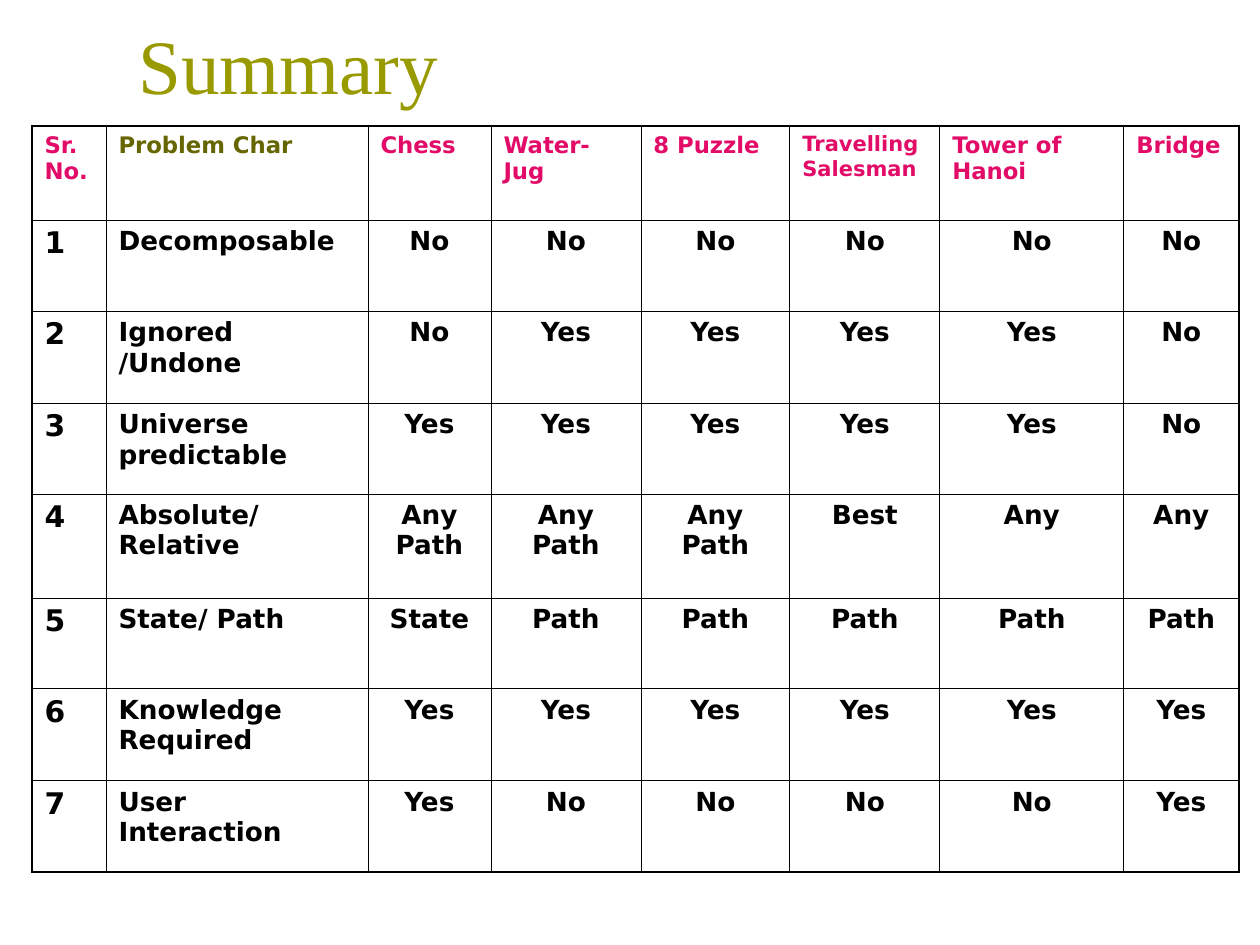
from lxml import etree
from pptx import Presentation
from pptx.dml.color import RGBColor
from pptx.enum.text import MSO_ANCHOR, PP_ALIGN
from pptx.oxml.ns import qn
from pptx.util import Emu, Pt

LEFT, CENTER = PP_ALIGN.LEFT, PP_ALIGN.CENTER
BOTTOM = MSO_ANCHOR.BOTTOM
OLIVE = RGBColor(0x99, 0x99, 0x00)
DARK_OLIVE = RGBColor(0x66, 0x66, 0x00)
PINK = RGBColor(0xE2, 0x0C, 0x68)
BLACK = RGBColor(0, 0, 0)
THIN, THICK = Pt(0.45), Pt(1.08)


def px(length):
    return Emu(round(length * 914400 / 126))


def add_border(cell, position, side, width):
    line = etree.Element(qn(f"a:{side}"), w=str(int(width)))
    fill = etree.SubElement(line, qn("a:solidFill"))
    etree.SubElement(fill, qn("a:srgbClr"), val=str(BLACK))
    cell._tc.get_or_add_tcPr().insert(position, line)


prs = Presentation()
prs.slide_width, prs.slide_height = px(1260), px(945)
slide = prs.slides.add_slide(prs.slide_layouts[6])

# Title
heading = slide.shapes.add_textbox(px(126), px(-41), px(1008), px(157)).text_frame
heading.word_wrap = True
heading.vertical_anchor = BOTTOM
heading.text = "Summary"
heading_format = {"name": "Times New Roman", "size": Pt(44)}
for attribute, value in heading_format.items():
    setattr(heading.paragraphs[0].runs[0].font, attribute, value)
heading.paragraphs[0].runs[0].font.color.rgb = OLIVE

# Problem characteristics by problem
rows = [
    ["Sr.\vNo.", "Problem Char", "Chess", "Water-Jug", "8 Puzzle",
     "Travelling Salesman", "Tower of Hanoi", "Bridge"],
    ["1", "Decomposable", "No", "No", "No", "No", "No", "No"],
    ["2", "Ignored /Undone", "No", "Yes", "Yes", "Yes", "Yes", "No"],
    ["3", "Universe predictable", "Yes", "Yes", "Yes", "Yes", "Yes", "No"],
    ["4", "Absolute/\vRelative", "Any Path", "Any Path", "Any Path", "Best", "Any", "Any"],
    ["5", "State/ Path", "State", "Path", "Path", "Path", "Path", "Path"],
    ["6", "Knowledge Required", "Yes", "Yes", "Yes", "Yes", "Yes", "Yes"],
    ["7", "User Interaction", "Yes", "No", "No", "No", "No", "Yes"],
]
column_widths = [74, 262, 123, 150, 149, 150, 184, 115]
row_heights = [94, 91, 92, 91, 104, 91, 92, 91]
last_row, last_column = len(rows) - 1, len(column_widths) - 1

summary = slide.shapes.add_table(
    len(rows), len(column_widths), px(32), px(126),
    px(sum(column_widths)), px(sum(row_heights))).table
summary.first_row = summary.horz_banding = False
for column, width in zip(summary.columns, column_widths):
    column.width = px(width)
for row, height in zip(summary.rows, row_heights):
    row.height = px(height)

for r, values in enumerate(rows):
    for c, value in enumerate(values):
        cell = summary.cell(r, c)
        cell.text = value
        cell.fill.background()

        # Header, number column and body each have their own size and colour
        if r == 0:
            size = 12 if value == "Travelling Salesman" else 13
            color = DARK_OLIVE if c == 1 else PINK
        else:
            size = 17 if c == 0 else 15
            color = BLACK
        paragraph = cell.text_frame.paragraphs[0]
        paragraph.alignment = CENTER if r > 0 and c > 1 else LEFT
        text_format = {"name": "DejaVu Sans", "size": Pt(size), "bold": True}
        for run in paragraph.runs:
            for attribute, setting in text_format.items():
                setattr(run.font, attribute, setting)
            run.font.color.rgb = color

        # Thick lines around the table, thin lines inside
        outer_sides = {"lnL": c == 0, "lnR": c == last_column,
                       "lnT": r == 0, "lnB": r == last_row}
        for position, (side, is_outer) in enumerate(outer_sides.items()):
            add_border(cell, position, side, THICK if is_outer else THIN)

prs.save("out.pptx")
